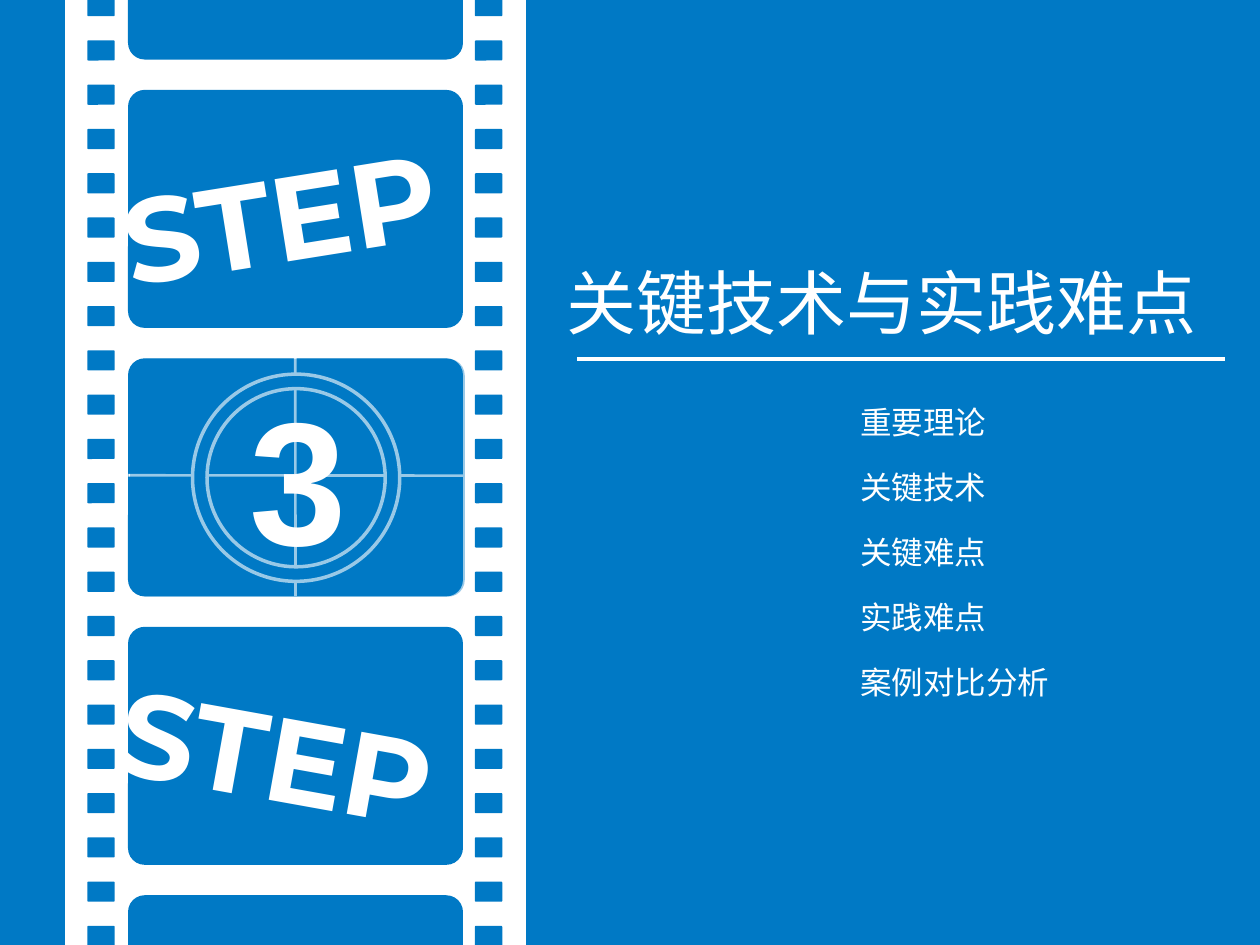
import pptx
import pptx.util
import pptx.dml.color
import pptx.enum.shapes
import pptx.enum.text
import pptx.oxml.ns
from lxml import etree

Pt = pptx.util.Pt
SHAPE = pptx.enum.shapes.MSO_SHAPE
BLUE = "0079C5"
WHITE = "FFFFFF"
CJK = "Noto Sans CJK SC"


def set_color(fmt, color):
    fmt.rgb = pptx.dml.color.RGBColor.from_string(color)


def add_child(parent, tag, **attrs):
    return etree.SubElement(parent, pptx.oxml.ns.qn(tag), **attrs)


def add_shape(s, kind, x, y, w, h, fill, adj=None, line_width=None, opacity=None):
    sp = s.shapes.add_shape(kind, Pt(x), Pt(y), Pt(w), Pt(h))
    sp.shadow.inherit = False
    sp.fill.solid()
    set_color(sp.fill.fore_color, fill)
    if adj is not None:
        sp.adjustments[0] = adj
    if line_width:
        set_color(sp.line.color, WHITE)
        sp.line.width = Pt(line_width)
    else:
        sp.line.fill.background()
    if opacity is not None:
        clr = sp.fill._xPr.find(".//" + pptx.oxml.ns.qn("a:srgbClr"))
        add_child(clr, "a:alpha", val=str(opacity * 1000))
    return sp


def add_line(s, x1, y1, x2, y2, width):
    sp = s.shapes.add_connector(
        pptx.enum.shapes.MSO_CONNECTOR.STRAIGHT, Pt(x1), Pt(y1), Pt(x2), Pt(y2))
    set_color(sp.line.color, WHITE)
    sp.line.width = Pt(width)
    add_child(sp._element.spPr, "a:effectLst")


def add_text(s, text, x, y, w, h, size, font, bold=False, rotation=0):
    sp = s.shapes.add_textbox(Pt(x), Pt(y), Pt(w), Pt(h))
    sp.rotation = rotation
    tf = sp.text_frame
    tf.word_wrap = True
    tf.auto_size = pptx.enum.text.MSO_AUTO_SIZE.SHAPE_TO_FIT_TEXT
    tf.text = text
    r = tf.paragraphs[0].runs[0]
    r.font.size = Pt(size)
    r.font.name = font
    r.font.bold = bold
    set_color(r.font.color, WHITE)
    add_child(r._r.get_or_add_rPr(), "a:ea", typeface=font)


def add_film_strip(s):
    add_shape(s, SHAPE.RECTANGLE, 39.6, -11.5, 258.5, 562.3, WHITE, line_width=4.5)
    for x in (49.9, 271.4):
        for i in range(22):
            add_shape(s, SHAPE.ROUNDED_RECTANGLE, x, -2.2 + 25.3 * i, 15.7, 11.5, BLUE, 0.06)
    for i in range(5):
        add_shape(s, SHAPE.ROUNDED_RECTANGLE, 73.2, -102 + 153.4 * i, 191.4, 136, BLUE, 0.07)


def add_countdown(s):
    add_line(s, 73.4, 271.6, 271.4, 271.8, 1.5)
    add_line(s, 168.7, 204.5, 168.9, 340.6, 1.5)
    add_shape(s, SHAPE.DONUT, 110, 213.8, 118.4, 118.4, BLUE, 0.07, line_width=2)
    add_shape(s, SHAPE.ROUNDED_RECTANGLE, 74.2, 205, 191.4, 136, BLUE, 0.07, opacity=40)
    add_text(s, "3", 135.4, 208.1, 140.4, 128.2, 100, "Arial", bold=True)


def main():
    prs = pptx.Presentation()
    prs.slide_width, prs.slide_height = Pt(720), Pt(540)
    s = prs.slides.add_slide(prs.slide_layouts[6])
    s.background.fill.solid()
    set_color(s.background.fill.fore_color, BLUE)

    add_film_strip(s)
    for x, y, rotation in ((62.6, 74.2, 350.9), (60.5, 391, 10.2)):
        add_text(s, "STEP", x, y, 248.4, 89.6, 68, "Montserrat", bold=True, rotation=rotation)
    add_countdown(s)

    add_line(s, 329.8, 205, 700, 205, 2.25)
    add_text(s, "关键技术与实践难点", 316.8, 144.7, 383.8, 55.4, 40, CJK)
    topics = ("重要理论", "关键技术", "关键难点", "实践难点", "案例对比分析")
    for i, topic in enumerate(topics):
        add_text(s, topic, 484.6, 226.6 + 37.2 * i, 182.2, 28.8, 18, CJK)

    prs.save("out.pptx")


if __name__ == "__main__":
    main()
